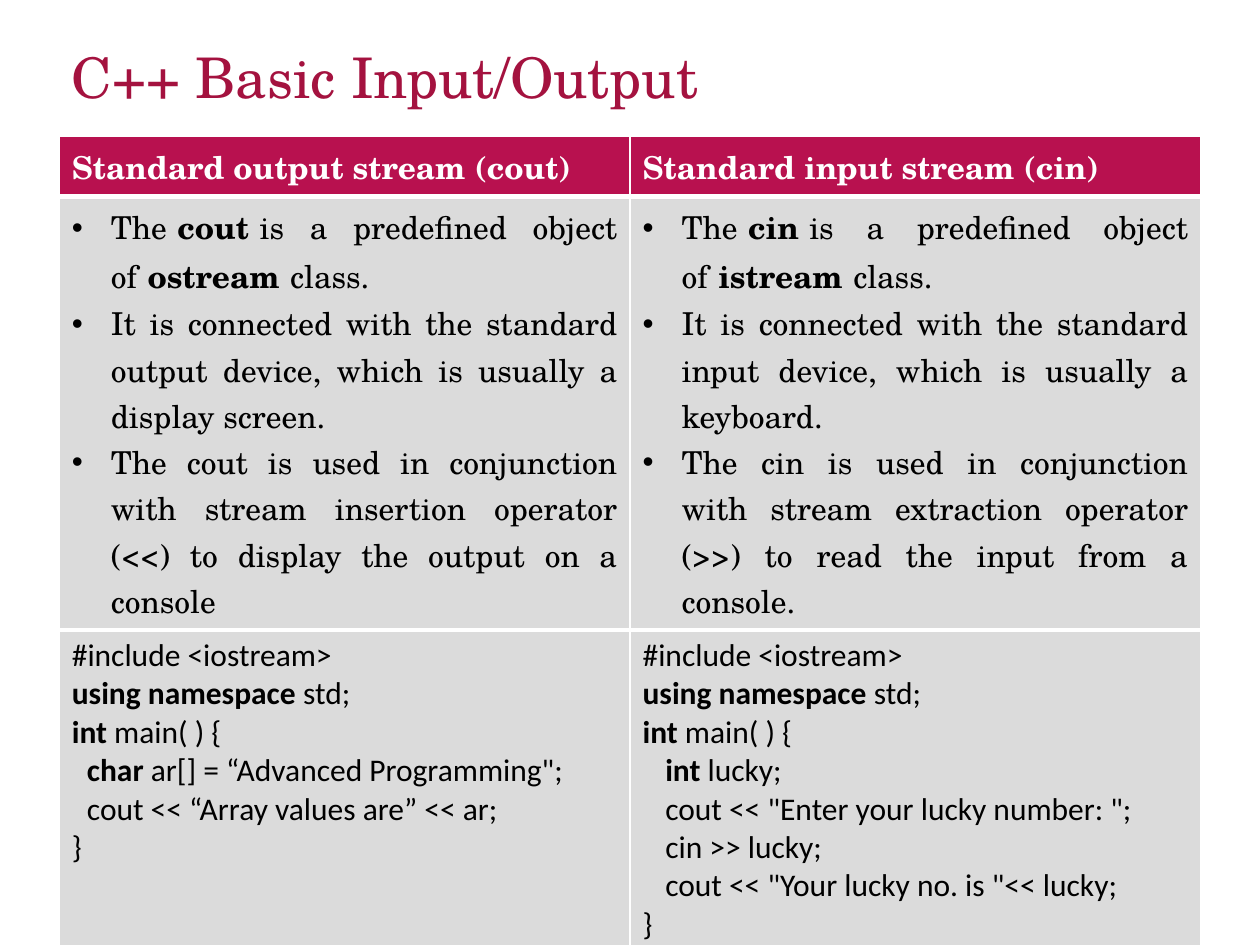
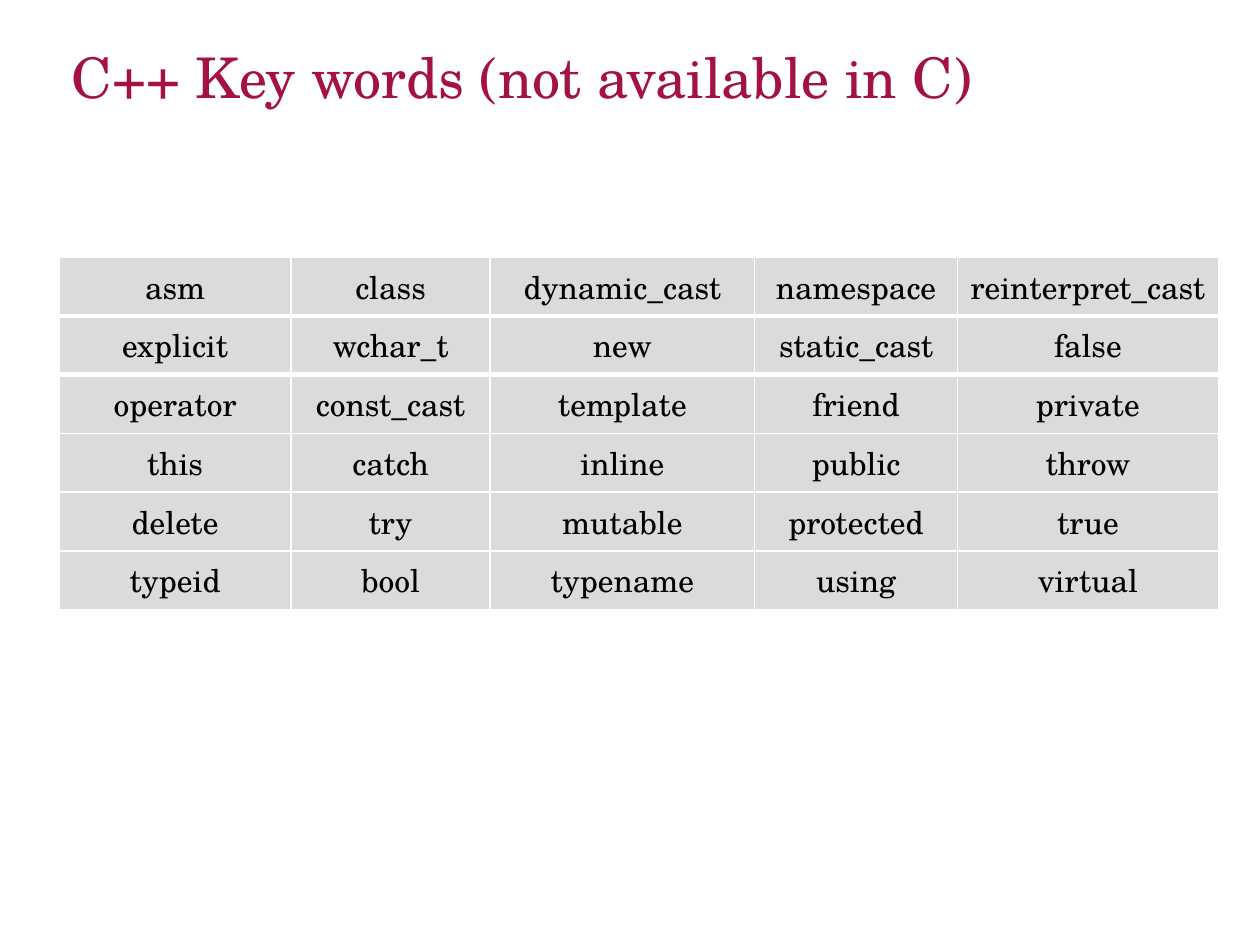
"""Build two slides on C++ streams and keywords."""
from dataclasses import dataclass

from lxml import etree
from pptx import Presentation
from pptx import util as u
from pptx.dml.color import RGBColor
from pptx.enum import text as t
from pptx.oxml import ns


@dataclass(frozen=True)
class Theme:
    title: str = "A4123F"
    head: str = "B8114F"
    cell: str = "DBDBDB"
    ink: str = "000000"
    white: str = "FFFFFF"
    serif: str = "TeX Gyre Schola"
    sans: str = "Calibri"
    big: int = 32
    body: int = 18
    left: float = 0.47
    wide: float = 9.19


look = Theme()
align = t.PP_ALIGN


def write(frame, lines, font=look.serif, size=look.body, color=look.ink,
          bold=False, side=align.LEFT, bullet=False, space=None):
    for i, line in enumerate(lines):
        para = frame.paragraphs[0] if i == 0 else frame.add_paragraph()
        para.alignment = side
        if space:
            para.line_spacing = space
        props = para._p.get_or_add_pPr()
        depth = len(line) - len(line.lstrip(" "))
        if bullet:
            props.set("marL", str(u.Inches(0.31)))
            props.set("indent", str(-u.Inches(0.31)))
            etree.SubElement(props, ns.qn("a:buFont")).set("typeface", "Arial")
            etree.SubElement(props, ns.qn("a:buChar")).set("char", "•")
        elif depth:
            props.set("marL", str(u.Inches(0.06 * depth)))
            props.set("indent", "0")
        for j, part in enumerate(line.strip(" ").split("*")):
            if part:
                run = para.add_run()
                run.text = part
                run.font.name = font
                run.font.size = u.Pt(size)
                run.font.bold = bold or j % 2 == 1
                run.font.color.rgb = RGBColor.from_string(color)


def grid(slide, top, cols, rows):
    frame = slide.shapes.add_table(
        len(rows), len(cols), u.Inches(look.left), u.Inches(top),
        u.Inches(sum(cols)), u.Inches(sum(rows)))
    table = frame.table
    table.horz_banding = False
    for col, width in zip(table.columns, cols):
        col.width = u.Inches(width)
    for row, height in zip(table.rows, rows):
        row.height = u.Inches(height)
    for cell in table.iter_cells():
        cell.fill.solid()
        cell.fill.fore_color.rgb = RGBColor.from_string(look.cell)
    for c in range(len(cols)):
        for r, side in ((0, "a:lnB"), (1, "a:lnT")):
            edge = etree.Element(ns.qn(side), w=str(u.Pt(3)))
            fill = etree.SubElement(edge, ns.qn("a:solidFill"))
            etree.SubElement(fill, ns.qn("a:srgbClr")).set("val", look.white)
            table.cell(r, c)._tc.get_or_add_tcPr().insert(0, edge)
    return table


deck = Presentation()
deck.slide_width, deck.slide_height = u.Inches(10), u.Inches(7.5)

streams = [
    ("Standard output stream (cout)",
     ["The\u00a0*cout*\u00a0is a predefined object of\u00a0*ostream*\u00a0class.",
      "It is connected with the standard output device, "
      "which is usually a display screen.",
      "The cout is used in conjunction with stream insertion operator (<<) "
      "to display the output on a console"],
     ["  *char* ar[] = “Advanced Programming\";",
      "  cout << “Array values are” << ar;"]),
    ("Standard input stream (cin)",
     ["The\u00a0*cin*\u00a0is a predefined object of\u00a0*istream*\u00a0class.",
      "It is connected with the standard input device, "
      "which is usually a keyboard.",
      "The cin is used in conjunction with stream extraction operator (>>) "
      "to read the input from a console."],
     ["   *int* lucky;",
      "   cout << \"Enter your lucky number: \";",
      "   cin >> lucky;",
      "   cout << \"Your lucky no. is \"<< lucky;"]),
]
start = ["#include <iostream>", "*using namespace* std;", "*int* main( ) {"]

words = [
    "asm class dynamic_cast namespace reinterpret_cast",
    "explicit wchar_t new static_cast false",
    "operator const_cast template friend private",
    "this catch inline public throw",
    "delete try mutable protected true",
    "typeid bool typename using virtual",
]

pages = []
for name in ("C++ Basic Input/Output", "C++ Key words (not available in C)"):
    page = deck.slides.add_slide(deck.slide_layouts[6])
    page.background.fill.solid()
    page.background.fill.fore_color.rgb = RGBColor.from_string(look.white)
    box = page.shapes.add_textbox(
        u.Inches(look.left), u.Inches(0.38), u.Inches(look.wide), u.Inches(0.51))
    box.text_frame.word_wrap = True
    box.text_frame.vertical_anchor = t.MSO_ANCHOR.MIDDLE
    write(box.text_frame, [name], size=look.big, color=look.title, space=0.9)
    pages.append(page)

table = grid(pages[0], 1.08, [4.53] * 2, [0.48, 3.44, 2.74])
for c, (head, facts, code) in enumerate(streams):
    top = table.cell(0, c)
    top.fill.fore_color.rgb = RGBColor.from_string(look.head)
    write(top.text_frame, [head], color=look.white, bold=True, side=align.JUSTIFY)
    write(table.cell(1, c).text_frame, facts, side=align.JUSTIFY, bullet=True)
    write(table.cell(2, c).text_frame, start + code + ["}"], font=look.sans)

table = grid(pages[1], 2.04, [1.84, 1.58, 2.1, 1.61, 2.07],
             [2.8 / len(words)] * len(words))
for r, row in enumerate(words):
    for c, word in enumerate(row.split()):
        write(table.cell(r, c).text_frame, [word], side=align.CENTER)

deck.save("out.pptx")
